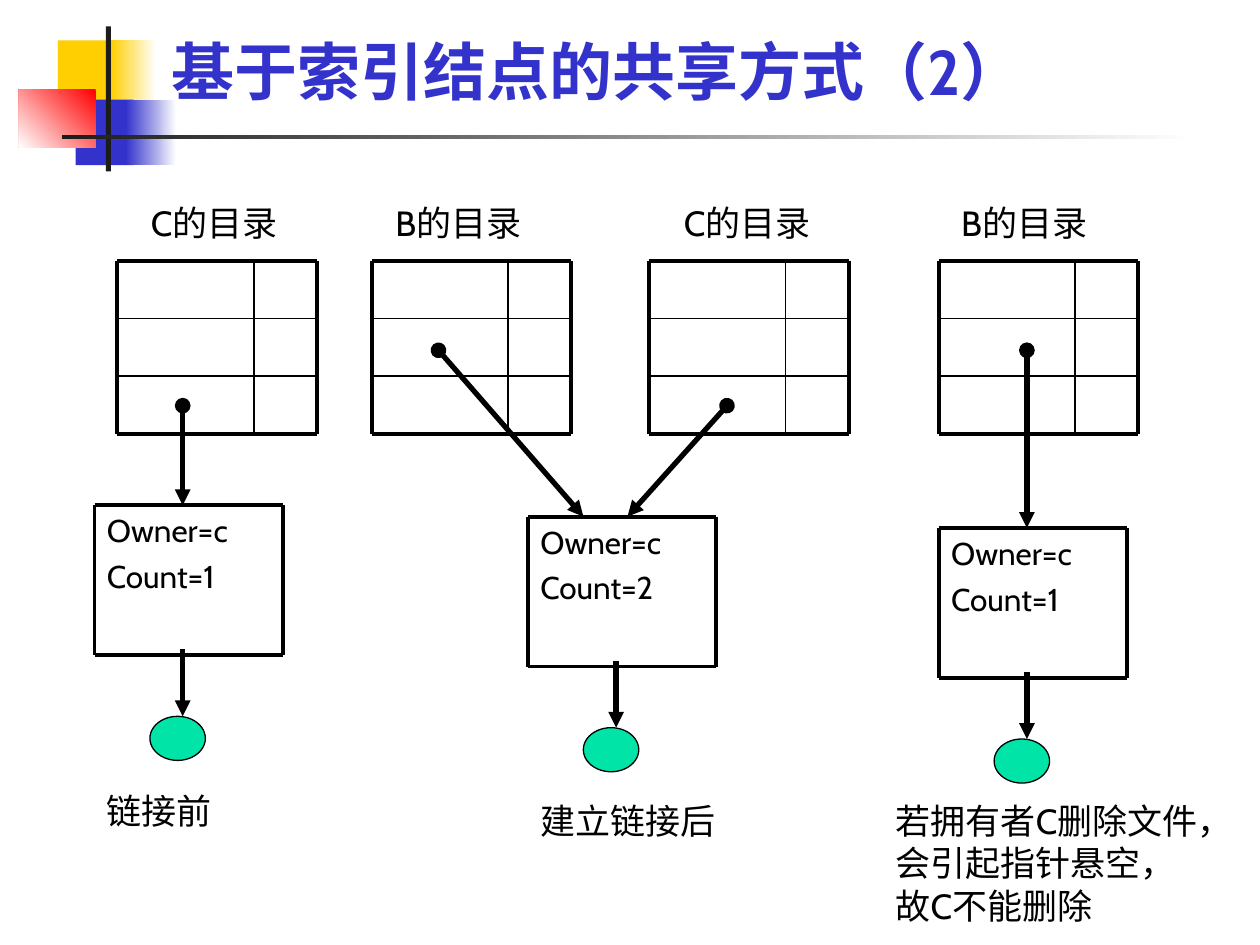
from lxml import etree
from pptx import Presentation
from pptx import util as u
from pptx.dml.color import RGBColor
from pptx.enum import shapes, text
from pptx.oxml.ns import qn

COLORS = {
    "ink": "000000", "bar": "1C1C1C", "white": "FFFFFF", "yellow": "FFCF01",
    "blue": "3333CC", "red": "FF0000", "green": "00E4A8",
}
FONT = "Cabin"
COLUMNS, ROWS = 100, 75  # slide grid
WIDTH, HEIGHT = u.Inches(10), u.Inches(7.5)

# Directory table, inode box and file, in grid units
DIR_TOP, DIR_ROW, DIR_SPLIT, DIR_WIDTH = 20.7, 4.58, 10.85, 15.85
NODE_WIDTH, NODE_HEIGHT = 14.95, 11.9
THICK, THIN, ARROW = 2.25, 1, 3


def col(n):
    return round(n * WIDTH / COLUMNS)


def row(n):
    return round(n * HEIGHT / ROWS)


def color(name):
    return RGBColor.from_string(COLORS[name])


def add_block(slide, shape_type, left, top, width, height, fill, end=None, angle=180):
    """Add a filled shape; with an end colour the fill is a gradient."""
    block = slide.shapes.add_shape(shape_type, col(left), row(top), col(width), row(height))
    block.shadow.inherit = False
    block.line.fill.background()
    if end:
        block.fill.gradient()
        block.fill.gradient_angle = angle
        for stop, name, position in zip(block.fill.gradient_stops, (fill, end), (0, 1)):
            stop.color.rgb = color(name)
            stop.position = position
    else:
        block.fill.solid()
        block.fill.fore_color.rgb = color(fill)
    return block


def add_text(slide, left, top, width, height, lines, size, name="ink", bold=False,
             gap=0, anchor=text.MSO_ANCHOR.TOP, grow=True):
    box = slide.shapes.add_textbox(col(left), row(top), col(width), row(height))
    frame = box.text_frame
    frame.word_wrap = True
    frame.vertical_anchor = anchor
    frame.auto_size = (text.MSO_AUTO_SIZE.SHAPE_TO_FIT_TEXT if grow
                       else text.MSO_AUTO_SIZE.NONE)
    frame.text = "\n".join(lines)
    for index, paragraph in enumerate(frame.paragraphs):
        if index:
            paragraph.space_before = u.Pt(gap)
        for run in paragraph.runs:
            run.font.name, run.font.size, run.font.bold = FONT, u.Pt(size), bold
            run.font.color.rgb = color(name)


def add_line(slide, start, end, width, head=None, tail=None):
    line = slide.shapes.add_connector(
        shapes.MSO_CONNECTOR.STRAIGHT,
        col(start[0]), row(start[1]), col(end[0]), row(end[1]))
    line.line.color.rgb = color("ink")
    line.line.width = u.Pt(width)
    for tag, kind in (("a:headEnd", head), ("a:tailEnd", tail)):
        if kind:
            etree.SubElement(line.line._get_or_add_ln(), qn(tag), type=kind)
    etree.SubElement(line._element.spPr, qn("a:effectLst"))


def add_grid(slide, xs, ys):
    """Rule a grid with a thick frame and thin inner lines."""
    for y in ys:
        add_line(slide, (xs[0], y), (xs[-1], y), THICK if y in (ys[0], ys[-1]) else THIN)
    for x in xs:
        add_line(slide, (x, ys[0]), (x, ys[-1]), THICK if x in (xs[0], xs[-1]) else THIN)


def add_directory(slide, left, label_left, owner):
    add_grid(slide, [left, left + DIR_SPLIT, left + DIR_WIDTH],
             [DIR_TOP + DIR_ROW * n for n in range(4)])
    add_text(slide, label_left, 15.5, 15, 4.4, [f"{owner}的目录"], 20)


def add_inode(slide, left, top, count):
    """Add an inode box with an arrow down to its file."""
    add_text(slide, left, top, NODE_WIDTH, NODE_HEIGHT,
             ["Owner=c", f"Count={count}"], 18, gap=4.5, grow=False)
    add_grid(slide, [left, left + NODE_WIDTH], [top, top + NODE_HEIGHT])
    file = add_block(slide, shapes.MSO_SHAPE.OVAL, left + 4.4, top + 16.75, 4.4, 3.5, "green")
    file.line.color.rgb = color("ink")
    file.line.width = u.Pt(0.75)
    add_line(slide, (left + 7, top + 11.45), (left + 7, top + 16.75), ARROW, tail="triangle")


def add_pointer(slide, start, end):
    add_line(slide, start, end, ARROW, head="oval", tail="triangle")


def add_decoration(slide):
    rect = shapes.MSO_SHAPE.RECTANGLE
    add_block(slide, rect, 4.6, 3.2, 4.8, 5.2, "yellow")
    add_block(slide, rect, 8.8, 3.2, 3.6, 5.2, "white", "yellow")
    add_block(slide, rect, 6, 7.9, 4.6, 5.2, "blue")
    add_block(slide, rect, 10, 7.9, 4, 5.2, "white", "blue")
    add_block(slide, rect, 1.5, 7.1, 6.1, 4.6, "red", "white", angle=225)
    add_block(slide, rect, 8.4, 2.1, 0.4, 11.5, "bar")
    add_block(slide, rect, 4.9, 10.7, 90, 0.3, "white", "bar")


def main():
    prs = Presentation()
    prs.slide_width, prs.slide_height = WIDTH, HEIGHT
    slide = prs.slides.add_slide(prs.slide_layouts[6])

    # Heading
    add_decoration(slide)
    add_text(slide, 12.6, 1.3, 85.2, 7.8, ["基于索引结点的共享方式（2）"], 36, "blue",
             bold=True, anchor=text.MSO_ANCHOR.BOTTOM, grow=False)

    # Directories: left, label left, owner
    for directory in ((9.3, 11, "C"), (29.5, 30.4, "B"), (51.5, 53.3, "C"), (74.5, 75.3, "B")):
        add_directory(slide, *directory)

    # Inodes before linking, after linking, after the owner deletes
    for inode in ((7.5, 40.1, 1), (41.9, 41, 2), (74.5, 41.9, 1)):
        add_inode(slide, *inode)

    # Pointers from directory entries to inodes
    for start, end in (((14.5, 32.2), (14.5, 40.1)), ((34.8, 27.8), (46.3, 41)),
                       ((57.7, 32.2), (49.8, 41)), ((81.5, 27.8), (81.5, 41.9))):
        add_pointer(slide, start, end)

    # Captions
    for left, top, width, height, caption in (
            (7.5, 62.2, 15, 4.4, "链接前"),
            (41.9, 63, 22, 4.4, "建立链接后"),
            (70.1, 63, 26.4, 11, "若拥有者C删除文件，会引起指针悬空，故C不能删除")):
        add_text(slide, left, top, width, height, [caption], 20)

    prs.save("out.pptx")


if __name__ == "__main__":
    main()
